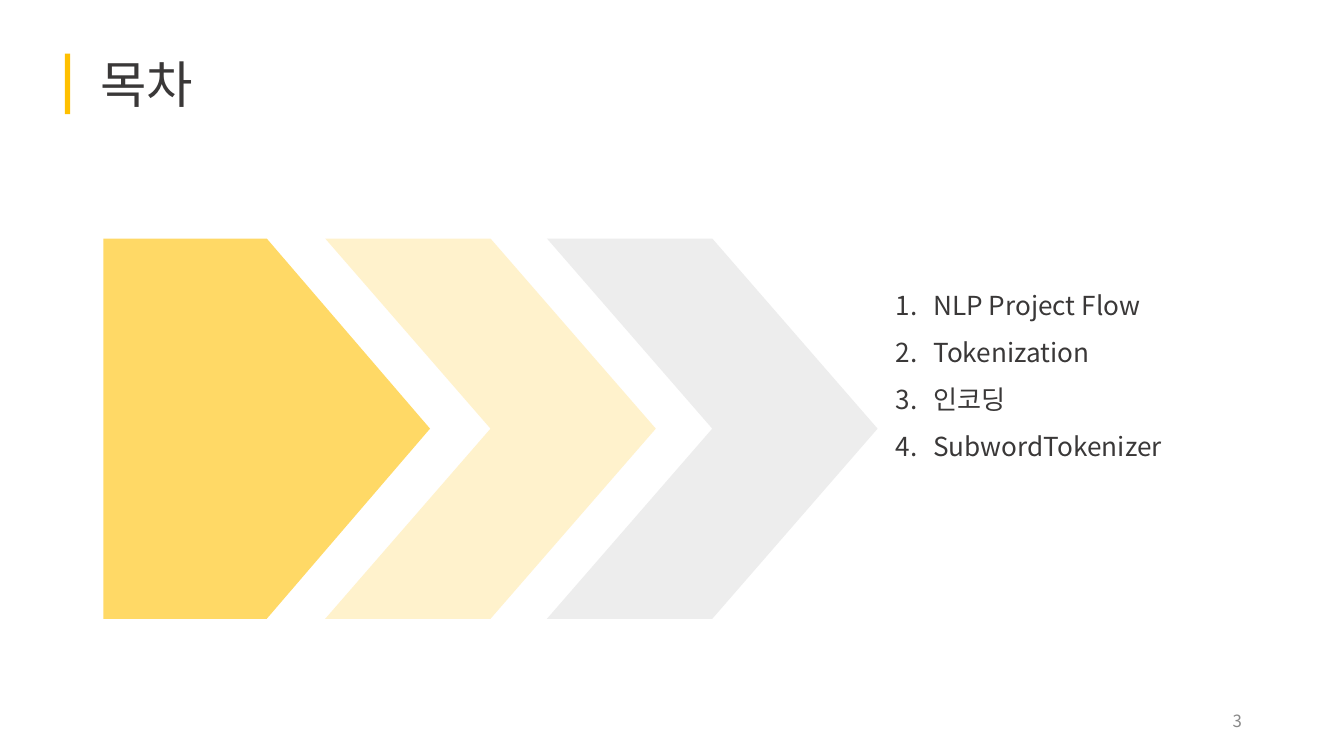
from lxml import etree
from pptx import Presentation
from pptx import util as u
from pptx.dml.color import RGBColor
from pptx.enum import shapes, text
from pptx.oxml import ns

W = u.Inches(10)
H = W * 9 // 16
FONT = "Noto Sans CJK KR"
DARK, GREY, ACCENT = "3A3838", "888888", "FFC000"
TOPICS = ["NLP Project Flow", "Tokenization", "인코딩", "SubwordTokenizer"]
ARROWS = [
    (shapes.MSO_SHAPE.PENTAGON, 24.3, "FFD966"),
    (shapes.MSO_SHAPE.CHEVRON, 24.6, "FFF2CC"),
    (shapes.MSO_SHAPE.CHEVRON, 24.6, "EDEDED"),
]
ARROW_LEFT, ARROW_STEP = 7.7, 16.5


def color(value):
    return RGBColor.from_string(value)


def place(box):
    """Turn left, top, width, height in percent of the slide into lengths."""
    return [u.Emu(round(share * side / 100))
            for share, side in zip(box, (W, H, W, H))]


def add_block(s, kind, box, fill):
    """Add a filled preset shape without outline or shadow."""
    sp = s.shapes.add_shape(kind, *place(box))
    sp.shadow.inherit = False
    sp.fill.solid()
    sp.fill.fore_color.rgb = color(fill)
    sp.line.fill.background()
    return sp


def number_paragraph(p, fill, indent=0.28):
    """Give a paragraph an automatic number and a hanging indent."""
    pPr = p._p.get_or_add_pPr()
    pPr.set("marL", str(u.Inches(indent)))
    pPr.set("indent", str(-u.Inches(indent)))
    clr = etree.SubElement(pPr, ns.qn("a:buClr"))
    etree.SubElement(clr, ns.qn("a:srgbClr"), val=fill)
    etree.SubElement(pPr, ns.qn("a:buAutoNum"), type="arabicPeriod")


def add_text(s, lines, box, size, fill=DARK, align=text.PP_ALIGN.LEFT,
             anchor=text.MSO_ANCHOR.TOP, spacing=None, numbered=False):
    tf = s.shapes.add_textbox(*place(box)).text_frame
    tf.word_wrap = True
    tf.vertical_anchor = anchor
    tf.margin_left = tf.margin_right = u.Inches(0.07)
    tf.margin_top = tf.margin_bottom = u.Inches(0.04)
    for i, line in enumerate(lines):
        p = tf.add_paragraph() if i else tf.paragraphs[0]
        if numbered:
            number_paragraph(p, fill)
        p.alignment = align
        if spacing:
            p.line_spacing = spacing
        r = p.add_run()
        r.text = line
        r.font.size = u.Pt(size)
        r.font.name = FONT
        r.font.color.rgb = color(fill)
        etree.SubElement(r._r.get_or_add_rPr(), ns.qn("a:ea"), typeface=FONT)


def add_arrows(s):
    for i, (kind, width, fill) in enumerate(ARROWS):
        box = (ARROW_LEFT + i * ARROW_STEP, 31.55, width, 50.3)
        add_block(s, kind, box, fill).adjustments[0] = 0.5


def main():
    prs = Presentation()
    prs.slide_width, prs.slide_height = W, H
    s = prs.slides.add_slide(prs.slide_layouts[6])
    add_text(s, ["3"], (70.6, 92.7, 22.5, 5.3), 9, GREY,
             align=text.PP_ALIGN.RIGHT, anchor=text.MSO_ANCHOR.MIDDLE)
    add_block(s, shapes.MSO_SHAPE.RECTANGLE, (4.83, 7.1, 0.4, 8), ACCENT)
    add_text(s, ["목차"], (6.75, 6.3, 10.9, 9.4), 27)
    add_arrows(s)
    add_text(s, TOPICS, (65.95, 35.5, 31.5, 37.2), 14,
             spacing=1.5, numbered=True)
    prs.save("out.pptx")


if __name__ == "__main__":
    main()
